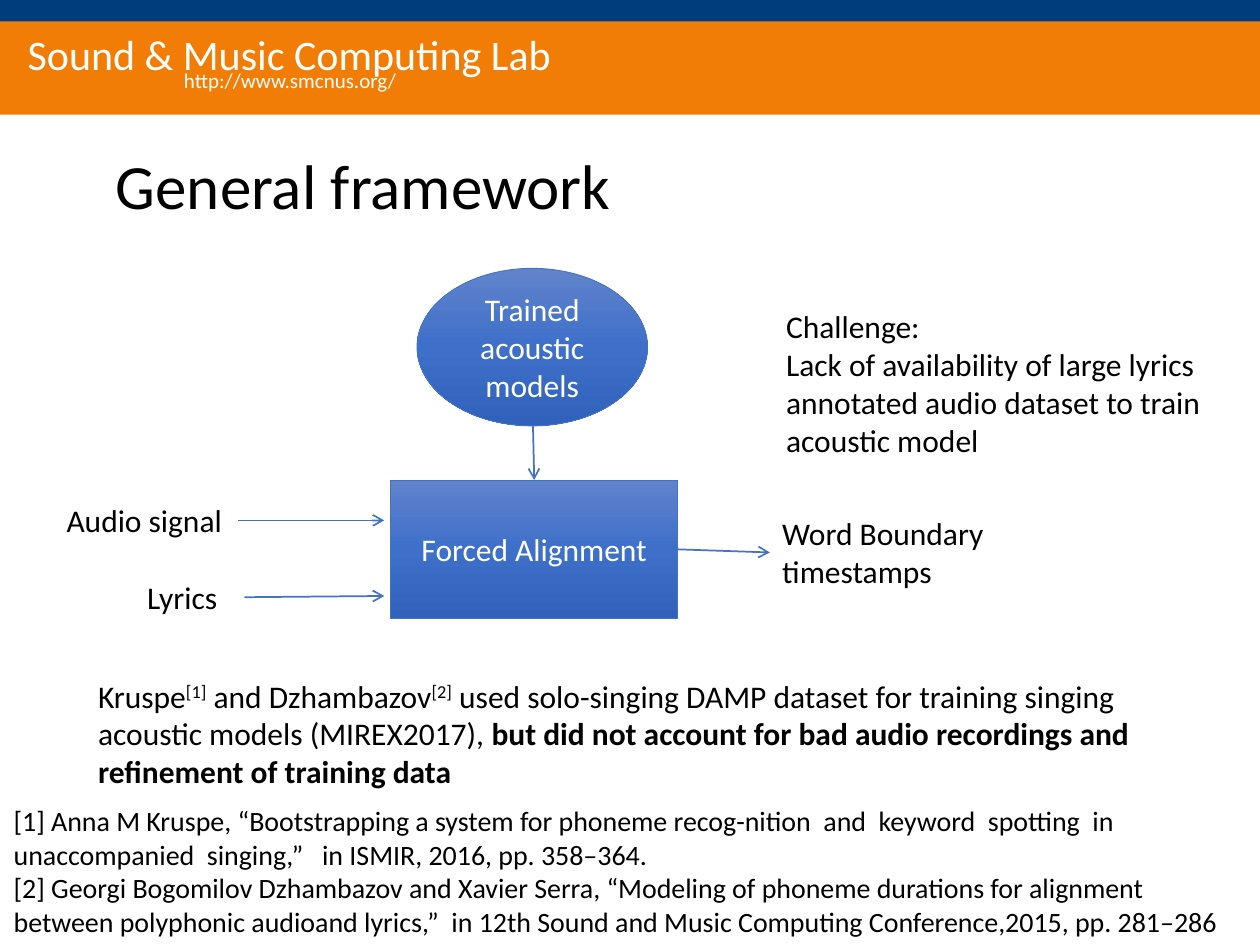
"""Builds the general framework slide for lyrics alignment."""
from copy import deepcopy

from lxml import etree
from pptx import Presentation
from pptx.dml.color import RGBColor
from pptx.enum import shapes, text
from pptx.oxml.ns import qn
from pptx.util import Inches, Pt

COLORS = {
    "orange": "F17D07", "navy": "003D7C", "white": "FFFFFF", "black": "000000",
    "line": "4472C4", "light": "6183CB", "middle": "3E70CA", "dark": "3062BB",
}


def color(name):
    return RGBColor.from_string(COLORS[name])


class SlideBuilder:
    font_name = "Calibri"

    def __init__(self, slide):
        self.slide = slide

    def style(self, paragraph, size, color_name):
        paragraph.font.name = self.font_name
        paragraph.font.size = Pt(size)
        paragraph.font.color.rgb = color(color_name)

    def title(self, words, left, top, width, height):
        title = self.slide.shapes.title
        title.left, title.top = Inches(left), Inches(top)
        title.width, title.height = Inches(width), Inches(height)
        title.text_frame.text = words
        title.text_frame.vertical_anchor = text.MSO_ANCHOR.MIDDLE
        paragraph = title.text_frame.paragraphs[0]
        paragraph.alignment = text.PP_ALIGN.LEFT
        paragraph.line_spacing = 0.9
        self.style(paragraph, 36, "black")

    def band(self, group, top, height, fill):
        band = group.shapes.add_shape(
            shapes.MSO_SHAPE.RECTANGLE, 0, Inches(top), Inches(10), Inches(height))
        band.shadow.inherit = False
        band.fill.solid()
        band.fill.fore_color.rgb = color(fill)
        band.line.fill.background()

    def header_text(self, group, words, left, top, width, height, size):
        box = group.shapes.add_textbox(
            Inches(left), Inches(top), Inches(width), Inches(height))
        frame = box.text_frame
        frame.text = words
        frame.word_wrap = False
        frame.vertical_anchor = text.MSO_ANCHOR.MIDDLE
        frame.margin_left = frame.margin_right = Inches(0.04)
        frame.margin_top = frame.margin_bottom = Inches(0.04)
        self.style(frame.paragraphs[0], size, "white")

    def node(self, kind, words, left, top, width, height):
        node = self.slide.shapes.add_shape(
            kind, Inches(left), Inches(top), Inches(width), Inches(height))
        node.shadow.inherit = False
        node.fill.gradient()
        node.fill.gradient_angle = 270
        stop_list = node._element.spPr.find(qn("a:gradFill")).find(qn("a:gsLst"))
        stop_list.insert(1, deepcopy(stop_list[0]))
        for index, name in enumerate(("light", "middle", "dark")):
            stop = node.fill.gradient_stops[index]
            stop.position = index / 2
            stop.color.rgb = color(name)
        node.line.color.rgb = color("line")
        node.line.width = Pt(0.5)
        node.text_frame.text = words
        node.text_frame.vertical_anchor = text.MSO_ANCHOR.MIDDLE
        paragraph = node.text_frame.paragraphs[0]
        paragraph.alignment = text.PP_ALIGN.CENTER
        self.style(paragraph, 18, "white")
        return node

    def text_box(self, paragraphs, left, top, width, height, size=18):
        box = self.slide.shapes.add_textbox(
            Inches(left), Inches(top), Inches(width), Inches(height))
        frame = box.text_frame
        frame.word_wrap = True
        frame.auto_size = text.MSO_AUTO_SIZE.SHAPE_TO_FIT_TEXT
        for index, runs in enumerate(paragraphs):
            paragraph = frame.add_paragraph() if index else frame.paragraphs[0]
            self.style(paragraph, size, "black")
            for words, kind in runs:
                run = paragraph.add_run()
                run.text = words
                if kind == "bold":
                    run.font.bold = True
                elif kind == "superscript":
                    run._r.get_or_add_rPr().set("baseline", "30000")
        return box

    def arrow(self, start, end, source=None, target=None):
        arrow = self.slide.shapes.add_connector(
            shapes.MSO_CONNECTOR.STRAIGHT, *map(Inches, start + end))
        if source:
            arrow.begin_connect(*source)
        if target:
            arrow.end_connect(*target)
        arrow.line.color.rgb = color("line")
        arrow.line.width = Pt(1)
        etree.SubElement(arrow.line._get_or_add_ln(), qn("a:tailEnd"), type="arrow")
        etree.SubElement(arrow._element.spPr, qn("a:effectLst"))


def main():
    presentation = Presentation()
    presentation.slide_width, presentation.slide_height = Inches(10), Inches(7.5)
    slide = presentation.slides.add_slide(presentation.slide_layouts[5])
    builder = SlideBuilder(slide)

    header = slide.shapes.add_group_shape()
    builder.band(header, 0.16, 0.75, "orange")
    builder.header_text(header, "Sound & Music Computing Lab", 0.18, 0.24, 4.27, 0.37, 24)
    builder.band(header, 0, 0.17, "navy")
    builder.header_text(header, "http://www.smcnus.org/", 1.42, 0.53, 1.79, 0.21, 12)
    builder.title("General framework", 0.82, 0.88, 9.18, 1.25)

    alignment = builder.node(
        shapes.MSO_SHAPE.RECTANGLE, "Forced Alignment", 3.1, 3.81, 2.28, 1.1)
    builder.node(shapes.MSO_SHAPE.OVAL, "Trained acoustic models", 3.31, 2.13, 1.83, 1.25)
    builder.text_box([[("Audio signal", "")]], 0.43, 3.93, 1.46, 0.4)
    builder.text_box([[("Lyrics", "")]], 1.07, 4.54, 0.87, 0.4)
    output = builder.text_box([[("Word Boundary timestamps", "")]], 6.11, 4.03, 2.09, 0.71)

    builder.arrow((1.89, 4.13), (3.05, 4.13))
    builder.arrow((1.94, 4.74), (3.05, 4.73))
    builder.arrow((4.23, 3.38), (4.24, 3.81), target=(alignment, 0))
    builder.arrow((5.38, 4.37), (6.11, 4.38), (alignment, 3), (output, 1))

    builder.text_box([
        [("Challenge:", "")],
        [("Lack of availability of large lyrics annotated audio dataset "
          "to train acoustic model", "")],
    ], 6.14, 2.39, 3.85, 1.62)
    builder.text_box([[
        ("Kruspe", ""), ("[1]", "superscript"),
        (" and Dzhambazov", ""), ("[2]", "superscript"),
        (" used solo-singing DAMP dataset for training singing acoustic models "
         "(MIREX2017), ", ""),
        ("but did not account for bad audio recordings and refinement of "
         "training data", "bold"),
    ]], 0.68, 5.32, 8.53, 1.01)
    builder.text_box([
        [("[1] Anna M Kruspe, “Bootstrapping a system for phoneme recog-nition  and  "
          "keyword  spotting  in  unaccompanied  singing,”   in ISMIR, 2016, "
          "pp. 358–364.", "")],
        [("[2] Georgi Bogomilov Dzhambazov and Xavier Serra, “Modeling of phoneme "
          "durations for alignment between polyphonic audioand lyrics,”  in 12th "
          "Sound and Music Computing Conference,2015, pp. 281–286", "")],
    ], 0.01, 6.33, 9.99, 1.17, 16)

    presentation.save("out.pptx")


if __name__ == "__main__":
    main()
